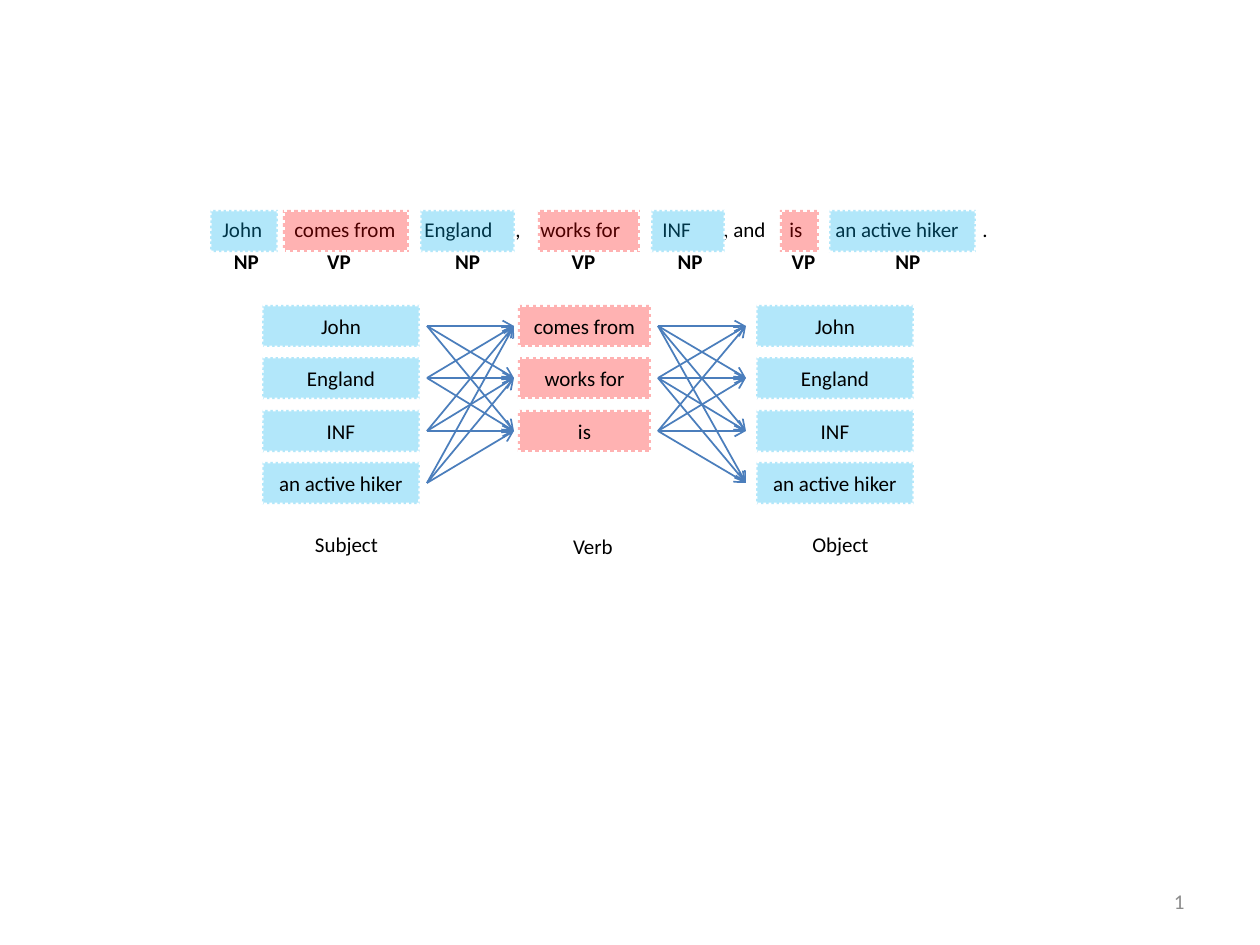
from dataclasses import dataclass
from itertools import product

from lxml.etree import SubElement
from pptx import Presentation
from pptx.dml.color import RGBColor
from pptx.enum.dml import MSO_LINE
from pptx.enum.shapes import MSO_CONNECTOR, MSO_SHAPE
from pptx.enum.text import MSO_ANCHOR, PP_ALIGN
from pptx.oxml.ns import qn
from pptx.util import Pt

PX = 7257  # EMU per px, 126 px to the inch


@dataclass(frozen=True)
class Theme:
    font: str = "Calibri"
    size: int = 12
    text: RGBColor = RGBColor(0x00, 0x00, 0x00)
    muted: RGBColor = RGBColor(0x8C, 0x8C, 0x8C)
    noun: RGBColor = RGBColor(0x00, 0xB0, 0xF0)
    verb: RGBColor = RGBColor(0xFF, 0x00, 0x00)
    border: RGBColor = RGBColor(0xFF, 0xFF, 0xFF)
    arrow: RGBColor = RGBColor(0x4B, 0x7E, 0xBC)
    opacity: int = 30


theme = Theme()
prs = Presentation()
prs.slide_width, prs.slide_height = 1260 * PX, 945 * PX
shapes = prs.slides.add_slide(prs.slide_layouts[6]).shapes


def write(frame, text, align=PP_ALIGN.CENTER, color=theme.text, bold=False):
    paragraph = frame.paragraphs[0]
    paragraph.text = text
    paragraph.alignment = align
    font = paragraph.font
    font.name, font.size, font.bold = theme.font, Pt(theme.size), bold
    font.color.rgb = color
    return paragraph


def add_phrase(left, top, width, kind, text=""):
    """Add a translucent phrase marker, blue for an NP and red for a VP."""
    is_noun = kind == "NP"
    outline = MSO_SHAPE.PARALLELOGRAM if is_noun else MSO_SHAPE.RECTANGLE
    phrase = shapes.add_shape(outline, left * PX, top * PX, width * PX, 42 * PX)
    if is_noun:
        phrase.adjustments[0] = 0.01
    phrase.shadow.inherit = False
    phrase.fill.solid()
    phrase.fill.fore_color.rgb = theme.noun if is_noun else theme.verb
    color = phrase._element.spPr.find(qn("a:solidFill"))[0]
    SubElement(color, qn("a:alpha"), val=str(theme.opacity * 1000))
    phrase.line.color.rgb = theme.border
    phrase.line.width = Pt(1.5 if is_noun else 2)
    phrase.line.dash_style = MSO_LINE.ROUND_DOT
    if text:
        phrase.text_frame.word_wrap = False
        phrase.text_frame.vertical_anchor = MSO_ANCHOR.MIDDLE
        write(phrase.text_frame, text)


# Slide number
number = shapes.add_textbox(903 * PX, 876 * PX, 294 * PX, 50 * PX).text_frame
number.word_wrap = True
number.vertical_anchor = MSO_ANCHOR.MIDDLE
write(number, "1", PP_ALIGN.RIGHT, theme.muted)

# Sentence, its pieces set at tab stops
pieces = ["John", "comes from", "England", ",", "works for", "INF", ", and",
          "is", "an active hiker", "."]
stops = [72, 202, 293, 318, 440, 501, 567, 613, 760]
sentence = shapes.add_textbox(210 * PX, 210 * PX, 987 * PX, 38 * PX).text_frame
sentence.word_wrap = True
line = write(sentence, "\t".join(pieces), PP_ALIGN.LEFT)
properties = line._p.get_or_add_pPr()
tabs = SubElement(properties, qn("a:tabLst"))
properties.find(qn("a:defRPr")).addprevious(tabs)
for stop in stops:
    SubElement(tabs, qn("a:tab"), pos=str(stop * PX), algn="l")

# Phrase markers over the sentence: kind, marker left and width, tag left and width
marks = [
    ("NP", 210, 68, 220, 53),
    ("NP", 420, 95, 440, 55),
    ("NP", 651, 74, 661, 58),
    ("NP", 829, 147, 850, 116),
    ("VP", 283, 126, 283, 112),
    ("VP", 538, 102, 538, 91),
    ("VP", 780, 39, 777, 53),
]
for kind, left, width, tag_left, tag_width in marks:
    add_phrase(left, 210, width, kind)
    tag = shapes.add_textbox(tag_left * PX, 242 * PX, tag_width * PX, 38 * PX).text_frame
    tag.word_wrap = True
    write(tag, kind, bold=True)

# Candidate triples
nouns = ["John", "England", "INF", "an active hiker"]
verbs = ["comes from", "works for", "is"]
row_tops = [305 + row * 105 // 2 for row in range(len(nouns))]
verb_tops = row_tops[:len(verbs)]

for start, end, sources, targets in [
    (658, 746, verb_tops, row_tops),
    (427, 514, row_tops, verb_tops),
]:
    for source, target in product(sources, targets):
        arrow = shapes.add_connector(MSO_CONNECTOR.STRAIGHT, start * PX, (source + 21) * PX,
                                     end * PX, (target + 21) * PX)
        arrow.line.color.rgb = theme.arrow
        arrow.line.width = Pt(1)
        SubElement(arrow.line._get_or_add_ln(), qn("a:tailEnd"), type="arrow")
        SubElement(arrow._element.spPr, qn("a:effectLst"))

# Columns: label, label left, top and width, kind, left, width, phrases
columns = [
    ("Subject", 252, 525, 189, "NP", 262, 158, nouns),
    ("Object", 746, 525, 189, "NP", 756, 158, nouns),
    ("Verb", 535, 527, 116, "VP", 518, 133, verbs),
]
for role, role_left, role_top, role_width, kind, left, width, phrases in columns:
    for top, phrase_text in zip(row_tops, phrases):
        add_phrase(left, top, width, kind, phrase_text)
    label = shapes.add_textbox(role_left * PX, role_top * PX, role_width * PX, 38 * PX).text_frame
    label.word_wrap = True
    write(label, role)

prs.save("out.pptx")
